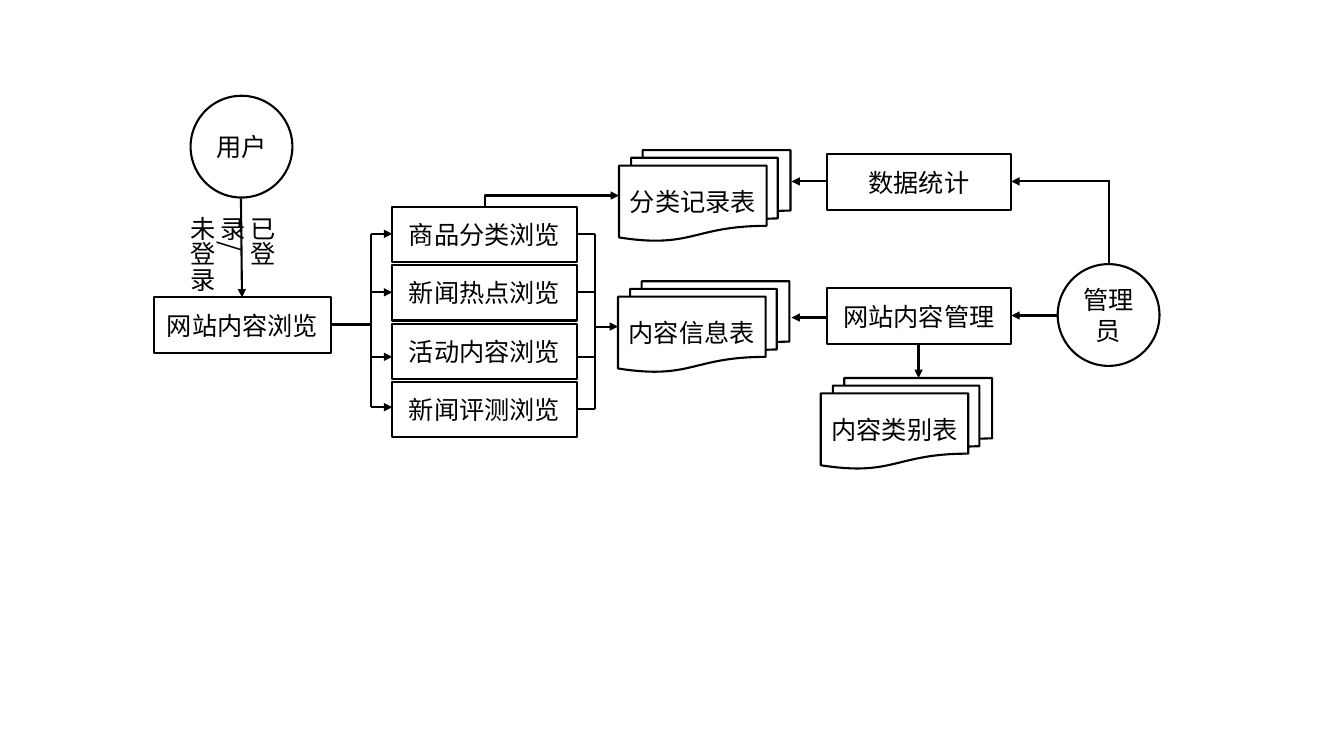
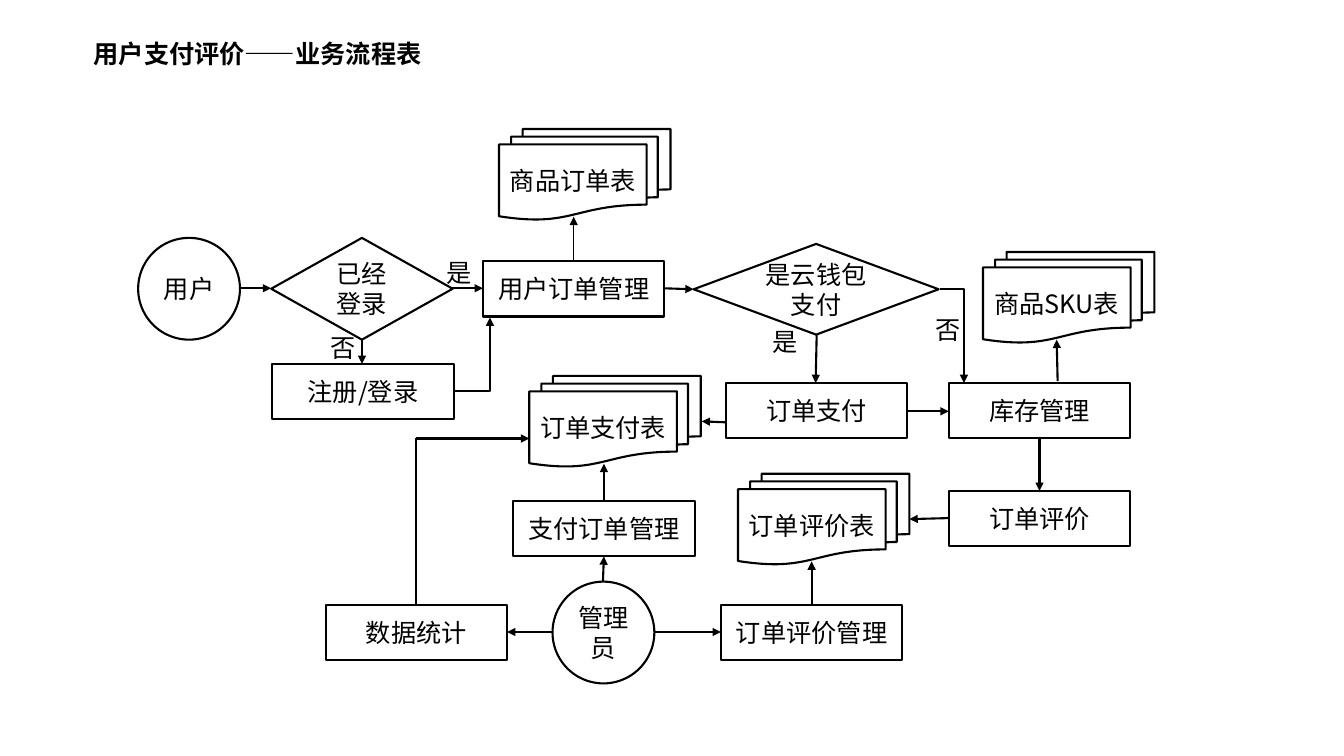
from dataclasses import dataclass
from lxml.etree import SubElement as Sub
from pptx import Presentation
from pptx.dml.color import RGBColor as Rgb
from pptx.enum.shapes import MSO_CONNECTOR as Wire, MSO_SHAPE as Form
from pptx.enum.text import MSO_ANCHOR as Anchor, PP_ALIGN as Align
from pptx.oxml.ns import qn
from pptx.util import Inches, Pt


@dataclass(frozen=True)
class Theme:
    ink: Rgb = Rgb(0, 0, 0)
    paper: Rgb = Rgb(255, 255, 255)
    face: str = "Noto Sans CJK JP"
    note: str = "Noto Sans CJK SC"
    size: int = 18
    line: float = 1.5
    thin: float = 0.5


look = Theme()
cell = Inches(0.1)


def write(frame, lines, face, align, anchor, bold=False):
    frame.word_wrap = True
    frame.vertical_anchor = anchor
    for row, text in enumerate(lines):
        para = frame.add_paragraph() if row else frame.paragraphs[0]
        para.alignment = align
        run = para.add_run()
        run.text = text
        run.font.size = Pt(look.size)
        run.font.bold = bold
        run.font.color.rgb = look.ink
        run.font.name = face
        Sub(run._r.get_or_add_rPr(), qn("a:ea"), typeface=face)


def link(slide, ends, tip=True, bend=None, width=look.line):
    x1, y1, x2, y2 = ends
    if bend == "down":
        mx, my, hx, hy = (x1 + x2) / 2, (y1 + y2) / 2, (x2 - x1) / 2, (y2 - y1) / 2
        x1, y1, x2, y2 = mx - hy, my + hx, mx + hy, my - hx
    wire = slide.shapes.add_connector(
        Wire.ELBOW if bend else Wire.STRAIGHT, *[round(v * cell) for v in (x1, y1, x2, y2)])
    wire.line.color.rgb = look.ink
    wire.line.width = Pt(width)
    props = wire.element.spPr
    if bend:
        props.find(qn("a:prstGeom")).set("prst", "bentConnector2")
    if bend == "down":
        props.find(qn("a:xfrm")).set("rot", "5400000")
    if tip:
        Sub(props.find(qn("a:ln")), qn("a:tailEnd"), type="triangle")
    Sub(props, qn("a:effectLst"))


deck = Presentation()
deck.slide_width = Inches(13.33)
deck.slide_height = Inches(7.5)
bare, titled = deck.slide_layouts[6], deck.slide_layouts[5]

views = ["商品分类浏览", "新闻热点浏览", "活动内容浏览", "新闻评测浏览"]
mids = [23.2, 29, 35.4, 40.4]
browse = dict(
    title=None,
    nodes=[
        (Form.OVAL, 10.1, 10.1, [(18.9, 9.5, "用户"), (104.9, 26.2, "管理员")]),
        (Form.RECTANGLE, 17.5, 5.5, [(15.3, 29.5, "网站内容浏览")]),
        (Form.RECTANGLE, 18.3, 5.5, [
            (82, 28.6, "网站内容管理"), (82, 15.3, "数据统计"),
            *[(38.9, 20.5 + 5.8 * i, text) for i, text in enumerate(views)]]),
        (Form.FLOWCHART_MULTIDOCUMENT, 17, 9, [
            (61.3, 27.9, "内容信息表"), (81.4, 37.5, "内容类别表"), (61.4, 14.9, "分类记录表")]),
    ],
    tips=[
        (104.9, 31.3, 100.3, 31.3), (23.9, 19.7, 24, 29.5), (59, 32.4, 61.3, 32.4),
        (82, 31.5, 78.5, 31.5), (82, 18, 78.5, 18), (110.1, 18, 100.3, 18),
        (91.1, 34, 91.1, 37.5), *[(36.8, y, 38.9, y) for y in mids]],
    plain=[
        (36.8, 23.2, 36.8, 40.4), (32.8, 32.2, 36.8, 32.2), (59, 23.2, 59, 40.6),
        (110, 26.2, 110, 18), *[(57.3, y, 59, y) for y in mids[:3] + [40.6]]],
    bends=[("down", (48.1, 20.5, 61.4, 19.4))],
    thin=[],
    notes=[(19.9, 20.5, 8.1, 9.8, ["已登录/", "未登录"], "eaVert")],
)
pay = dict(
    title="用户支付评价——业务流程表",
    nodes=[
        (Form.OVAL, 10.1, 10.1, [(13.7, 23.6, "用户"), (54.8, 57.7, "管理员")]),
        (Form.RECTANGLE, 18, 5.5, [
            (47.9, 25.9, "用户订单管理"), (94.1, 38, "库存管理"), (72, 38, "订单支付"),
            (27, 36.1, "注册/登录"), (32.3, 60, "数据统计"), (71.5, 60, "订单评价管理"),
            (94.1, 48.7, "订单评价"), (50.9, 49.7, "支付订单管理")]),
        (Form.FLOWCHART_DECISION, 24.3, 9, [(68.8, 24.2, "是云钱包支付")]),
        (Form.FLOWCHART_DECISION, 18, 10.1, [(26.9, 23.6, "已经登录")]),
        (Form.FLOWCHART_MULTIDOCUMENT, 17, 9, [
            (52.5, 37.3, "订单支付表"), (73.2, 47, "订单评价表"),
            (97.5, 25, "商品SKU表"), (49.5, 12.8, "商品订单表")]),
    ],
    tips=[
        (23.8, 28.6, 26.9, 28.6), (44.8, 28.6, 47.9, 28.6), (65.8, 28.6, 68.8, 28.7),
        (81, 33.2, 80.9, 38), (35.9, 33.7, 35.9, 36.1), (72, 41.9, 69.6, 41.8),
        (89.9, 40.8, 94.1, 40.8), (59.8, 57.7, 59.9, 55.2), (104.9, 37.8, 104.8, 33.7),
        (94.1, 51.4, 90.2, 51.5), (54.8, 62.7, 50.3, 62.7), (64.9, 62.7, 71.5, 62.7),
        (103.1, 43.5, 103.1, 48.7), (80.5, 60, 80.5, 55.7), (59.9, 49.7, 59.9, 46),
        (41.3, 43.5, 52.5, 43.5)],
    plain=[(41.3, 60, 41.3, 43.5)],
    bends=[("across", (44.9, 38.8, 48.6, 31.5)), ("across", (93.2, 28.7, 95.6, 38))],
    thin=[(56.9, 25.9, 56.9, 21.5)],
    notes=[(x, y, 3.7, 4, [text], "horz") for x, y, text in [
        (75.6, 31.9, "是"), (43.3, 25, "是"), (31.8, 32.5, "否"), (91.8, 30.7, "否")]],
)

for page in (browse, pay):
    slide = deck.slides.add_slide(titled if page["title"] else bare)
    if page["title"]:
        head = slide.shapes.title
        head.left, head.top, head.width, head.height = [
            round(v * cell) for v in (8.3, 3.3, 43.3, 4)]
        write(head.text_frame, [page["title"]], look.face, Align.LEFT, Anchor.TOP, True)
    for form, wide, high, spots in page["nodes"]:
        for x, y, text in spots:
            node = slide.shapes.add_shape(form, *[round(v * cell) for v in (x, y, wide, high)])
            node.shadow.inherit = False
            node.fill.solid()
            node.fill.fore_color.rgb = look.paper
            node.line.color.rgb = look.ink
            node.line.width = Pt(look.line)
            write(node.text_frame, [text], look.face, Align.CENTER, Anchor.MIDDLE)
    for ends in page["tips"]:
        link(slide, ends)
    for ends in page["plain"]:
        link(slide, ends, tip=False)
    for bend, ends in page["bends"]:
        link(slide, ends, bend=bend)
    for ends in page["thin"]:
        link(slide, ends, width=look.thin)
    for *area, lines, flow in page["notes"]:
        note = slide.shapes.add_textbox(*[round(v * cell) for v in area])
        write(note.text_frame, lines, look.note, Align.LEFT, Anchor.TOP)
        note.text_frame._txBody.find(qn("a:bodyPr")).set("vert", flow)

deck.save("out.pptx")
